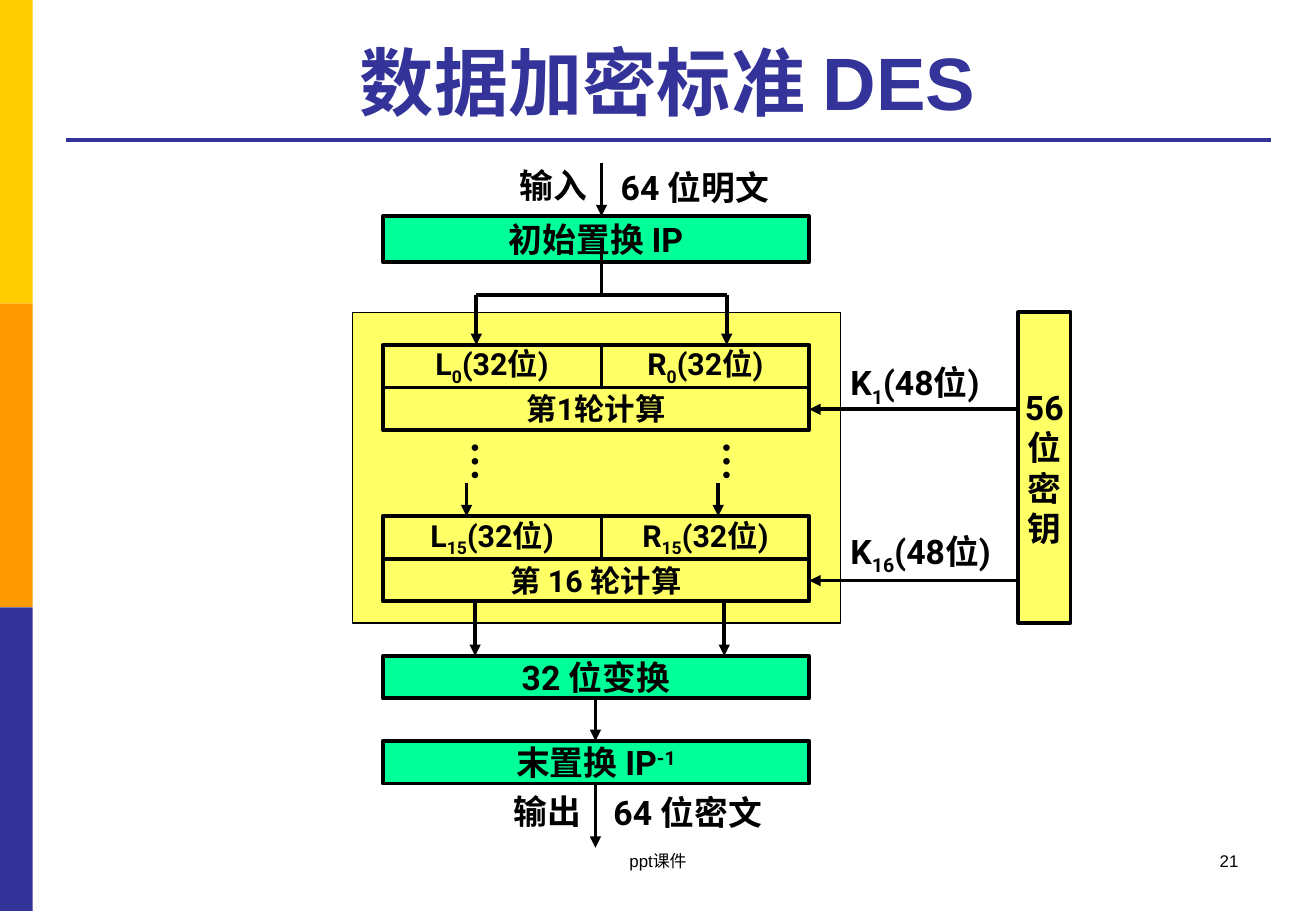
from dataclasses import dataclass

import pptx
import pptx.dml.color
import pptx.enum.shapes
import pptx.enum.text
import pptx.oxml
import pptx.oxml.ns
import pptx.util
from pptx.shapes.base import BaseShape
from pptx.slide import Slide

PX = 9144  # EMU per px, 100 px to the inch
ALIGN = pptx.enum.text.PP_ALIGN
ANCHOR = pptx.enum.text.MSO_ANCHOR
SUB, SUPER = -25000, 30000


@dataclass(frozen=True)
class Theme:
    ink: str = "000000"
    navy: str = "333399"
    gold: str = "FFCC00"
    orange: str = "FF9900"
    green: str = "00FF99"
    yellow: str = "FFFF66"
    body_font: str = "Roboto"
    plain_font: str = "Arial"
    dots_font: str = "Times New Roman"
    title_size: int = 44
    dots_size: int = 24
    label_size: int = 20
    round_size: int = 18
    footer_size: int = 10
    thin: float = 0.75
    thick: float = 2.25


THEME = Theme()


@dataclass(frozen=True)
class Run:
    text: str
    baseline: int = 0


@dataclass(frozen=True)
class Text:
    paragraphs: list[list[Run]]
    size: int = THEME.label_size
    font: str = THEME.body_font
    color: str = THEME.ink
    bold: bool = True
    align: ALIGN = ALIGN.CENTER
    anchor: ANCHOR = ANCHOR.MIDDLE
    wrap: bool = False
    grow: bool = False
    vertical: bool = False


@dataclass(frozen=True)
class Area:
    left: int
    top: int
    width: int
    height: int

    def emu(self) -> tuple[int, int, int, int]:
        return self.left * PX, self.top * PX, self.width * PX, self.height * PX


@dataclass(frozen=True)
class Box:
    area: Area
    fill: str | None = None
    line: float | None = THEME.thick
    text: Text | None = None


@dataclass(frozen=True)
class Line:
    x1: int
    y1: int
    x2: int
    y2: int
    arrow: bool = True
    color: str = THEME.ink


def rgb(value: str) -> pptx.dml.color.RGBColor:
    return pptx.dml.color.RGBColor.from_string(value)


def write(shape: BaseShape, text: Text) -> None:
    frame = shape.text_frame
    frame.word_wrap = text.wrap
    frame.vertical_anchor = text.anchor
    if text.grow:
        frame.auto_size = pptx.enum.text.MSO_AUTO_SIZE.SHAPE_TO_FIT_TEXT
    if text.vertical:
        frame._txBody.bodyPr.set("vert", "eaVert")
    for index, runs in enumerate(text.paragraphs):
        paragraph = frame.add_paragraph() if index else frame.paragraphs[0]
        paragraph.alignment = text.align
        paragraph.font.size = pptx.util.Pt(text.size)
        paragraph.font.name = text.font
        paragraph.font.bold = text.bold
        paragraph.font.color.rgb = rgb(text.color)
        for part in runs:
            run = paragraph.add_run()
            run.text = part.text
            if part.baseline:
                run._r.get_or_add_rPr().set("baseline", str(part.baseline))


def draw_box(slide: Slide, box: Box) -> None:
    shape = slide.shapes.add_shape(
        pptx.enum.shapes.MSO_SHAPE.RECTANGLE, *box.area.emu())
    shape.shadow.inherit = False
    if box.fill:
        shape.fill.solid()
        shape.fill.fore_color.rgb = rgb(box.fill)
    else:
        shape.fill.background()
    if box.line:
        shape.line.color.rgb = rgb(THEME.ink)
        shape.line.width = pptx.util.Pt(box.line)
    else:
        shape.line.fill.background()
    if box.text:
        write(shape, box.text)


def draw_line(slide: Slide, line: Line) -> None:
    connector = slide.shapes.add_connector(
        pptx.enum.shapes.MSO_CONNECTOR.STRAIGHT,
        line.x1 * PX, line.y1 * PX, line.x2 * PX, line.y2 * PX)
    connector.line.color.rgb = rgb(line.color)
    connector.line.width = pptx.util.Pt(THEME.thick)
    namespace = pptx.oxml.ns.nsdecls("a")
    if line.arrow:
        connector.line._get_or_add_ln().append(
            pptx.oxml.parse_xml(f'<a:tailEnd {namespace} type="triangle"/>'))
    connector._element.spPr.append(pptx.oxml.parse_xml(f"<a:effectLst {namespace}/>"))


def draw_text(slide: Slide, area: Area, text: Text) -> None:
    write(slide.shapes.add_textbox(*area.emu()), text)


def label(*runs: Run) -> Text:
    return Text([list(runs)], align=ALIGN.LEFT, anchor=ANCHOR.TOP, grow=True)


def bits(letter: str, index: int, count: int) -> list[Run]:
    return [Run(letter), Run(str(index), SUB), Run(f"({count}位)")]


def round_boxes(top: int, index: int, caption: str) -> list[Box]:
    """Left and right halves above the caption of one round."""
    def cell(left: int, y: int, width: int, runs: list[Run]) -> Box:
        return Box(Area(left, y, width, 35), text=Text([runs], THEME.round_size))

    return [cell(315, top, 180, bits("L", index, 32)),
            cell(495, top, 171, bits("R", index, 32)),
            cell(315, top + 35, 351, [Run(caption)])]


def stage(top: int, height: int, *runs: Run) -> Box:
    return Box(Area(315, top, 351, height), THEME.green, text=Text([list(runs)]))


def main() -> None:
    deck = pptx.Presentation()
    deck.slide_width, deck.slide_height = 1083 * PX, 750 * PX
    slide = deck.slides.add_slide(deck.slide_layouts[6])

    side_bands = [Box(Area(0, 250 * i, 27, 250), color, None)
                  for i, color in enumerate((THEME.gold, THEME.orange, THEME.navy))]
    key = Text([[Run(part)] for part in ("56", "位", "密", "钥")])
    boxes = [
        *side_bands,
        Box(Area(290, 257, 402, 256), THEME.yellow, THEME.thin),
        stage(178, 38, Run("初始置换 IP")),
        *round_boxes(284, 0, "第1轮计算"),
        *round_boxes(425, 15, "第 16 轮计算"),
        stage(540, 35, Run("32 位变换")),
        stage(610, 35, Run("末置换 IP"), Run("-1", SUPER)),
        Box(Area(838, 257, 43, 256), THEME.yellow, text=key),
    ]
    for box in boxes:
        draw_box(slide, box)

    lines = [
        Line(54, 115, 1046, 115, arrow=False, color=THEME.navy),
        Line(495, 134, 495, 178),
        Line(495, 207, 495, 243, arrow=False),
        Line(392, 243, 598, 243, arrow=False),
        *(Line(x, 243, x, 284) for x in (392, 598)),
        *(Line(x, 398, x, 425) for x in (384, 591)),
        *(Line(x, 496, x, 540) for x in (391, 596)),
        Line(490, 575, 490, 610),
        Line(490, 646, 490, 698),
        *(Line(838, y, 666, y) for y in (337, 478)),
    ]
    for line in lines:
        draw_line(slide, line)

    dots = Text([[Run("…")]], THEME.dots_size, THEME.dots_font, align=ALIGN.LEFT,
                anchor=ANCHOR.TOP, wrap=True, grow=True, vertical=True)
    title = Text([[Run("数据加密标准 DES")]], THEME.title_size, THEME.plain_font,
                 THEME.navy, anchor=ANCHOR.BOTTOM, wrap=True)

    def footer(text: str, align: ALIGN) -> Text:
        return Text([[Run(text)]], THEME.footer_size, THEME.plain_font, bold=False,
                    align=align, anchor=ANCHOR.TOP, wrap=True)

    texts = [
        (Area(54, 21, 991, 87), title),
        (Area(418, 131, 78, 46), label(Run("输入"))),
        (Area(501, 132, 149, 44), label(Run("64 位明文"))),
        *((Area(x, 354, 62, 44), dots) for x in (365, 572)),
        (Area(690, 293, 143, 46), label(*bits("K", 1, 48))),
        (Area(690, 432, 155, 46), label(*bits("K", 16, 48))),
        (Area(413, 646, 78, 46), label(Run("输出"))),
        (Area(495, 647, 149, 44), label(Run("64 位密文"))),
        (Area(370, 695, 343, 50), footer("ppt课件", ALIGN.CENTER)),
        (Area(776, 695, 253, 50), footer("21", ALIGN.RIGHT)),
    ]
    for area, text in texts:
        draw_text(slide, area, text)

    deck.save("out.pptx")


if __name__ == "__main__":
    main()
